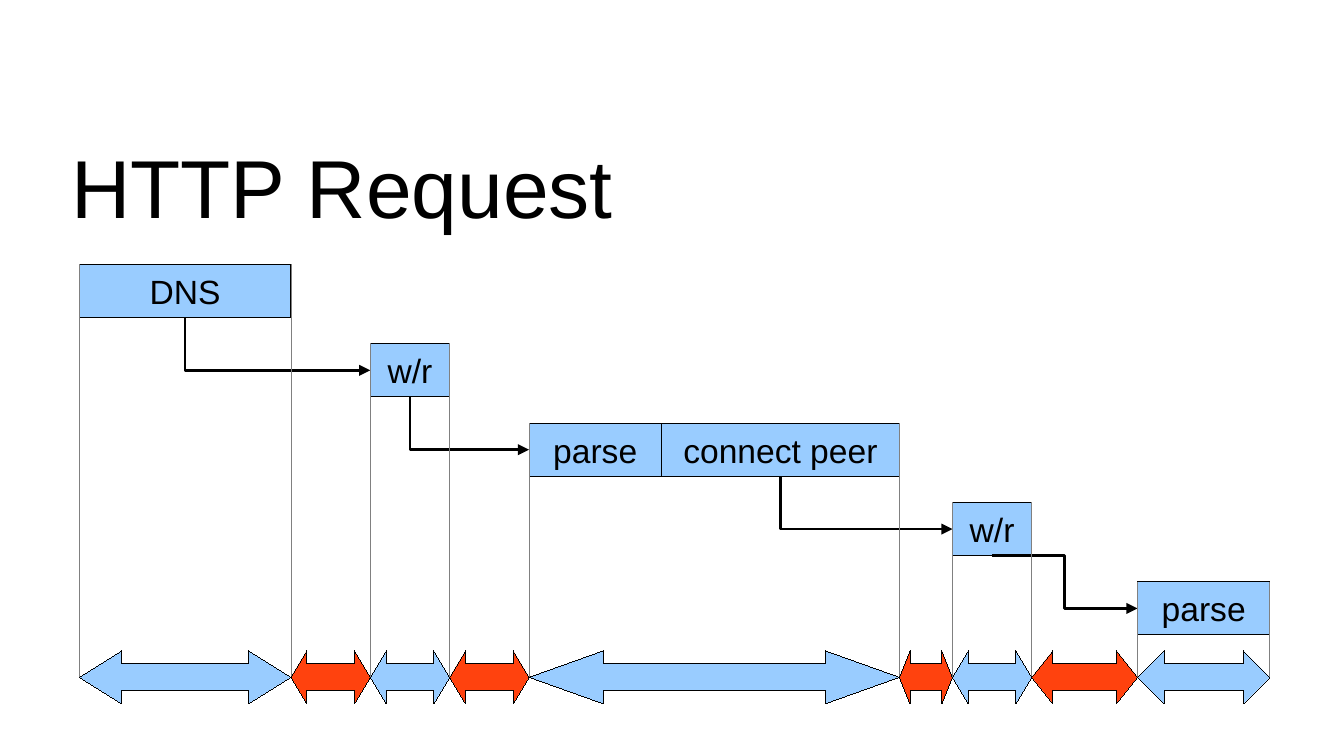
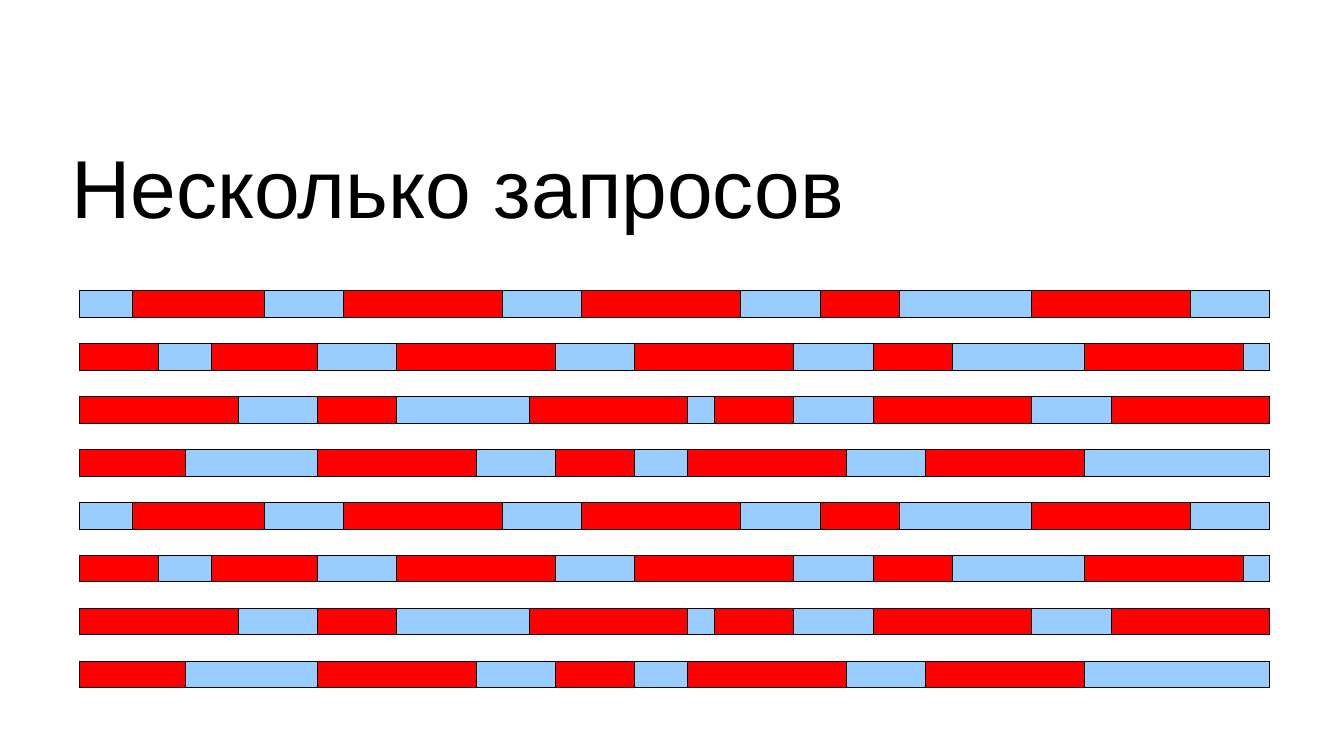
from itertools import cycle, pairwise

from pptx import Presentation
from pptx.dml.color import RGBColor
from pptx.enum.shapes import MSO_CONNECTOR, MSO_SHAPE
from pptx.enum.text import MSO_ANCHOR, MSO_AUTO_SIZE, PP_ALIGN
from pptx.oxml.ns import qn
from pptx.util import Inches, Pt
from lxml import etree

BLACK = RGBColor(0x00, 0x00, 0x00)
GRAY = RGBColor(0x80, 0x80, 0x80)
BLUE = RGBColor(0x99, 0xCC, 0xFF)
ORANGE = RGBColor(0xFF, 0x42, 0x0E)
RED = RGBColor(0xFF, 0x00, 0x00)

PROCESS = MSO_SHAPE.FLOWCHART_PROCESS
DOUBLE_ARROW = MSO_SHAPE.LEFT_RIGHT_ARROW
STRAIGHT, ELBOW = MSO_CONNECTOR.STRAIGHT, MSO_CONNECTOR.ELBOW
LEFT, CENTER = PP_ALIGN.LEFT, PP_ALIGN.CENTER
MIDDLE = MSO_ANCHOR.MIDDLE
GROW = MSO_AUTO_SIZE.SHAPE_TO_FIT_TEXT

FONT = "Arial"
HAIRLINE = Pt(0)
GRID_CM = 0.5
LEFT_EDGE = 3  # grid units, as are all places below

# label, left, top, width
STEPS = [
    ("DNS", 3, 10, 8),
    ("w/r", 14, 13, 3),
    ("parse", 20, 16, 5),
    ("connect peer", 25, 16, 9),
    ("w/r", 36, 19, 3),
    ("parse", 43, 22, 5),
]
STEP_HEIGHT = 2
# position in time -> top of its guide line
GUIDES = {3: 10, 11: 10, 14: 13, 17: 13, 20: 16, 34: 16, 36: 19, 39: 19, 43: 22, 48: 22}
ARROW_TOP, ARROW_HEIGHT = 24.6, 2
ARROW_HEAD_SHARE = 0.2

# first colour, widths of the alternating busy and waiting spans
REQUESTS = [
    (BLUE, [2, 5, 3, 6, 3, 6, 3, 3, 5, 6, 3]),
    (RED, [3, 2, 4, 3, 6, 3, 6, 3, 3, 5, 6, 1]),
    (RED, [6, 3, 3, 5, 6, 1, 3, 3, 6, 3, 6]),
    (RED, [4, 5, 6, 3, 3, 2, 6, 3, 6, 7]),
]
BARS_TOP, BAR_PITCH = 11, 2


def grid(n):
    return Inches(n * GRID_CM / 2.54)


def set_text(tf, text, size=18, color=BLACK, align=CENTER, anchor=MIDDLE):
    tf.vertical_anchor = anchor
    p = tf.paragraphs[0]
    p.alignment = align
    r = p.add_run()
    r.text = text
    r.font.name = FONT
    r.font.size = Pt(size)
    r.font.color.rgb = color


def set_line(line, color, width):
    """Write the width even when it is zero, which the width property would drop."""
    line.color.rgb = color
    ln = line._get_or_add_ln()
    ln.set("w", str(int(width)))
    return ln


def add_titled_slide(prs, title, top, height):
    s = prs.slides.add_slide(prs.slide_layouts[5])
    sp = s.shapes.title
    sp.left, sp.top = Inches(0.53), Inches(top)
    sp.width, sp.height = Inches(9), Inches(height)
    tf = sp.text_frame
    tf.word_wrap = True
    tf.auto_size = GROW
    tf.margin_left = tf.margin_right = tf.margin_top = tf.margin_bottom = 0
    set_text(tf, title, size=44, align=LEFT)
    return s


def add_block(s, kind, x, y, w, h, fill):
    sp = s.shapes.add_shape(kind, grid(x), grid(y), grid(w), grid(h))
    sp.shadow.inherit = False
    sp.fill.solid()
    sp.fill.fore_color.rgb = fill
    set_line(sp.line, BLACK, HAIRLINE)
    return sp


def add_line(s, kind, x1, y1, x2, y2, color, width):
    c = s.shapes.add_connector(kind, grid(x1), grid(y1), grid(x2), grid(y2))
    set_line(c.line, color, width)
    etree.SubElement(c._element.spPr, qn("a:effectLst"))
    return c


def add_flow(s, x1, y1, x2, y2):
    c = add_line(s, ELBOW, x1, y1, x2, y2, BLACK, Pt(1.45))
    etree.SubElement(c.line._get_or_add_ln(), qn("a:tailEnd"), type="triangle")
    return c


def add_corner_flow(s, x1, y1, x2, y2):
    """Arrow that goes down and then right: a one-bend connector turned by 270 degrees."""
    cx, cy = (x1 + x2) / 2, (y1 + y2) / 2
    half_w, half_h = (y2 - y1) / 2, (x2 - x1) / 2
    c = add_flow(s, cx - half_w, cy - half_h, cx + half_w, cy + half_h)
    spPr = c._element.spPr
    spPr.find(qn("a:prstGeom")).set("prst", "bentConnector2")
    xfrm = spPr.find(qn("a:xfrm"))
    xfrm.set("rot", str(270 * 60000))
    xfrm.set("flipH", "1")


def add_span_arrow(s, x1, x2, fill):
    w = x2 - x1
    sp = add_block(s, DOUBLE_ARROW, x1, ARROW_TOP, w, ARROW_HEIGHT, fill)
    sp.adjustments[1] = ARROW_HEAD_SHARE * w / ARROW_HEIGHT


def add_bar(s, y, first, widths):
    x = LEFT_EDGE
    colors = cycle([BLUE, RED] if first == BLUE else [RED, BLUE])
    for w, fill in zip(widths, colors):
        add_block(s, PROCESS, x, y, w, 1, fill)
        x += w


def build_request(prs):
    s = add_titled_slide(prs, "HTTP Request", 1, 0.76)
    for label, x, y, w in STEPS:
        sp = add_block(s, PROCESS, x, y, w, STEP_HEIGHT, BLUE)
        set_text(sp.text_frame, label)
    for (_, x, y, w), (_, next_x, next_y, _) in pairwise(STEPS):
        if next_y == y:
            continue
        connect = add_flow if next_y == STEPS[-1][2] else add_corner_flow
        connect(s, x + w / 2, y + STEP_HEIGHT, next_x, next_y + STEP_HEIGHT / 2)
    for x, top in GUIDES.items():
        add_line(s, STRAIGHT, x, top, x, ARROW_TOP + ARROW_HEIGHT / 2, GRAY, HAIRLINE)
    for (x1, x2), fill in zip(pairwise(GUIDES), cycle([BLUE, ORANGE])):
        add_span_arrow(s, x1, x2, fill)


def build_many_requests(prs):
    s = add_titled_slide(prs, "Несколько запросов", 1.04, 0.68)
    for i, (first, widths) in enumerate(REQUESTS * 2):
        add_bar(s, BARS_TOP + i * BAR_PITCH, first, widths)


def main():
    prs = Presentation()
    prs.slide_width, prs.slide_height = Inches(10), Inches(10 * 9 / 16)
    build_request(prs)
    build_many_requests(prs)
    prs.save("out.pptx")


if __name__ == "__main__":
    main()
